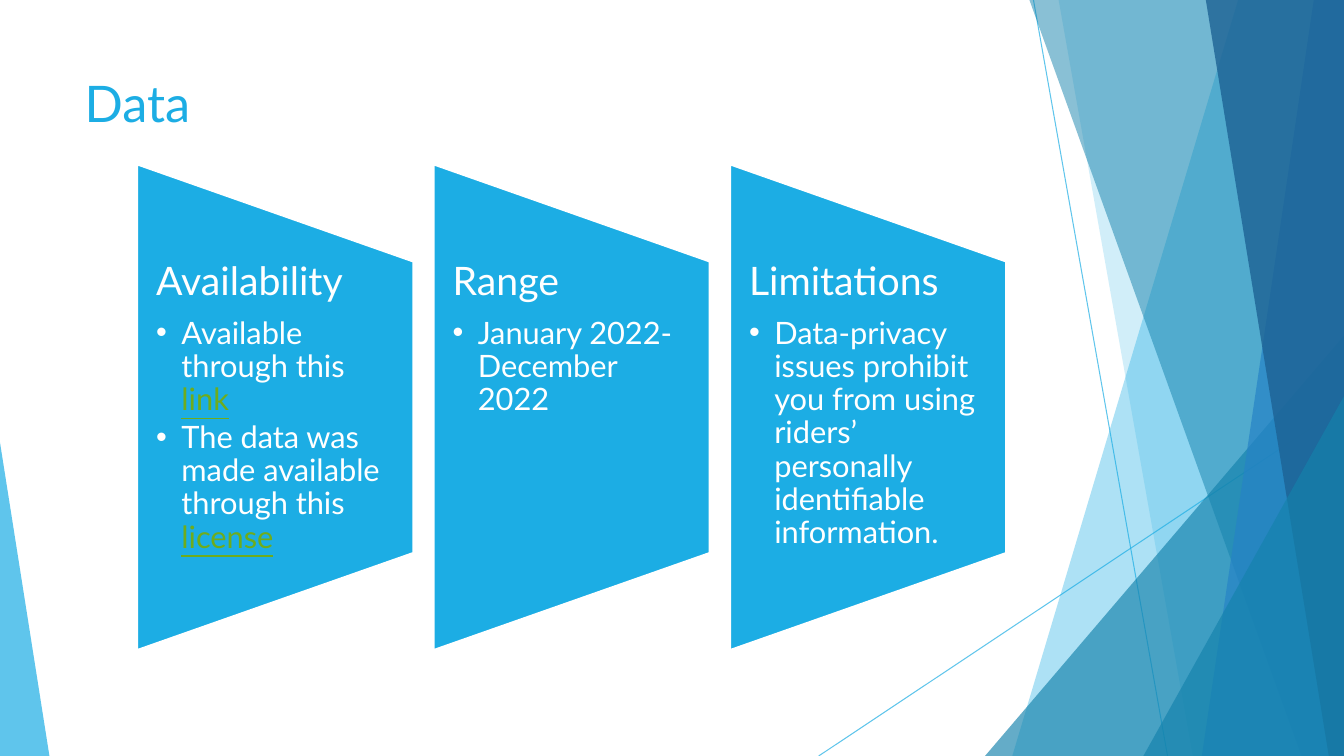
from dataclasses import dataclass

from lxml import etree
from pptx import Presentation
from pptx.dml.color import RGBColor
from pptx.enum.shapes import MSO_CONNECTOR, MSO_SHAPE
from pptx.enum.text import MSO_ANCHOR, MSO_AUTO_SIZE, PP_ALIGN
from pptx.oxml.ns import qn
from pptx.util import Inches, Pt

TRIANGLE = MSO_SHAPE.ISOSCELES_TRIANGLE
TRAPEZOID = MSO_SHAPE.FLOWCHART_MANUAL_OPERATION
STRAIGHT = MSO_CONNECTOR.STRAIGHT
TOP = MSO_ANCHOR.TOP
LEFT = PP_ALIGN.LEFT
NO_AUTOFIT = MSO_AUTO_SIZE.NONE
TITLE_ONLY = 5


@dataclass(frozen=True)
class Theme:
    font: str = "Lato"
    sky: str = "1CADE4"
    teal: str = "1482AC"
    blue: str = "2683C6"
    navy: str = "1D6294"
    link: str = "6EAC1C"
    white: str = "FFFFFF"
    title_size: float = 36
    heading_size: float = 28
    bullet_size: float = 22


THEME = Theme()
SLIDE_W, SLIDE_H = 13.33, 7.5
PAGE = (0, 0, SLIDE_W, SLIDE_H)

RAYS = [
    (10.25, 0, 11.58, 7.5),
    (13.33, 4.03, 8.12, 7.5),
]
BANDS = [
    (12.28, 10.04, THEME.sky, 36),
    (10.5, 11.83, THEME.sky, 20),
    (None, 9.77, 3.33, THEME.teal, 66),
    (10.21, 12.91, THEME.teal, 50),
    (13.03, 11.92, THEME.blue, 70),
    (11.96, 13.18, THEME.navy, 80),
    (None, 11.34, 3.93, THEME.teal, 66),
]
PANELS = [
    ("Availability", [
        [("Available through this ", False), ("link", True)],
        [("The data was made available through this ", False), ("license", True)],
    ]),
    ("Range", [[("January 2022- December 2022", False)]]),
    ("Limitations", [
        [("Data-privacy issues prohibit you from using riders’ personally "
          "identifiable information.", False)],
    ]),
]


def set_alpha(fill_parent, percent):
    color = fill_parent.find(".//" + qn("a:srgbClr"))
    etree.SubElement(color, qn("a:alpha")).set("val", str(percent * 1000))


def paint(shape, color, opacity=100):
    shape.shadow.inherit = False
    shape.fill.solid()
    shape.fill.fore_color.rgb = RGBColor.from_string(color)
    shape.line.fill.background()
    if opacity < 100:
        set_alpha(shape._element.spPr, opacity)


def add_text(paragraph, text, size, color, underline=None):
    run = paragraph.add_run()
    run.text = text
    run.font.name = THEME.font
    run.font.size = Pt(size)
    run.font.color.rgb = RGBColor.from_string(color)
    run.font.underline = underline


def add_ray(slide, x1, y1, x2, y2):
    ray = slide.shapes.add_connector(
        STRAIGHT, Inches(x1), Inches(y1), Inches(x2), Inches(y2))
    ray.line.width = Pt(0.75)
    ray.line.color.rgb = RGBColor.from_string(THEME.sky)
    properties = ray._element.spPr
    set_alpha(properties, 70)
    etree.SubElement(properties, qn("a:effectLst"))


def add_corner(slide, box, tip, color, opacity):
    left, top, width, height = box
    corner = slide.shapes.add_shape(
        TRIANGLE, Inches(left), Inches(top), Inches(width), Inches(height))
    corner.adjustments[0] = tip
    paint(corner, color, opacity)


def add_band(slide, box, top_x, bottom_x, color, opacity):
    left, top, width, height = box
    right, bottom = left + width, top + height
    outline = slide.shapes.build_freeform(Inches(top_x), Inches(top))
    outline.add_line_segments(
        [(Inches(x), Inches(y))
         for x, y in ((right, top), (right, bottom), (bottom_x, bottom))])
    paint(outline.convert_to_shape(), color, opacity)


def add_backdrop(slide, box):
    left, top, width, height = box
    right, bottom = left + width, top + height
    for ray in RAYS:
        add_ray(slide, *ray)
    for top_x, *band in BANDS:
        if top_x is None:
            corner_left, corner_top, color, opacity = band
            corner = (corner_left, corner_top,
                      right - corner_left, bottom - corner_top)
            add_corner(slide, corner, 1, color, opacity)
        else:
            add_band(slide, box, top_x, *band)
    add_corner(slide, (left, bottom - 3.11, 0.49, 3.11), 0, THEME.sky, 70)


def add_title(slide, box, text):
    title = slide.shapes.title
    title.left, title.top, title.width, title.height = map(Inches, box)
    frame = title.text_frame
    frame.vertical_anchor = TOP
    frame.auto_size = NO_AUTOFIT
    paragraph = frame.paragraphs[0]
    paragraph.alignment = LEFT
    add_text(paragraph, text, THEME.title_size, THEME.sky)


def add_bullet(frame, runs):
    paragraph = frame.add_paragraph()
    paragraph.level = 1
    properties = paragraph._p.get_or_add_pPr()
    properties.set("marL", str(Inches(0.25)))
    properties.set("indent", str(-Inches(0.25)))
    etree.SubElement(properties, qn("a:buFont")).set("typeface", "Arial")
    etree.SubElement(properties, qn("a:buChar")).set("char", "•")
    paragraph.line_spacing = 0.9
    paragraph.space_after = Pt(0.15 * THEME.bullet_size)
    for text, linked in runs:
        color = THEME.link if linked else THEME.white
        add_text(paragraph, text, THEME.bullet_size, color, linked or None)


def add_panel(slide, box, heading, bullets):
    left, top, width, height = box
    trapezoid = slide.shapes.add_shape(
        TRAPEZOID,
        Inches(left + (width - height) / 2), Inches(top + (height - width) / 2),
        Inches(height), Inches(width))
    trapezoid.rotation = 270
    paint(trapezoid, THEME.sky)
    trapezoid.line.color.rgb = RGBColor.from_string(THEME.white)
    trapezoid.line.width = Pt(1.5)

    content = slide.shapes.add_textbox(
        Inches(left), Inches(top + height / 5), Inches(width), Inches(height * 3 / 5))
    frame = content.text_frame
    frame.word_wrap = True
    frame.vertical_anchor = TOP
    frame.margin_left, frame.margin_right = Inches(0.19), Inches(0.2)
    frame.margin_top = frame.margin_bottom = 0
    paragraph = frame.paragraphs[0]
    paragraph.line_spacing = 0.9
    paragraph.space_after = Pt(0.35 * THEME.heading_size)
    add_text(paragraph, heading, THEME.heading_size, THEME.white)
    for runs in bullets:
        add_bullet(frame, runs)


def add_panels(slide, box):
    left, top, width, height = box
    gap = 0.2
    panel_width = (width - gap * (len(PANELS) - 1)) / len(PANELS)
    for index, (heading, bullets) in enumerate(PANELS):
        panel_left = left + index * (panel_width + gap)
        add_panel(slide, (panel_left, top, panel_width, height), heading, bullets)


def main():
    deck = Presentation()
    deck.slide_width, deck.slide_height = Inches(SLIDE_W), Inches(SLIDE_H)
    slide = deck.slides.add_slide(deck.slide_layouts[TITLE_ONLY])
    add_backdrop(slide, PAGE)
    add_title(slide, (0.74, 0.67, 9.4, 1.44), "Data")
    add_panels(slide, (1.36, 1.63, 8.62, 4.82))
    deck.save("out.pptx")


if __name__ == "__main__":
    main()
